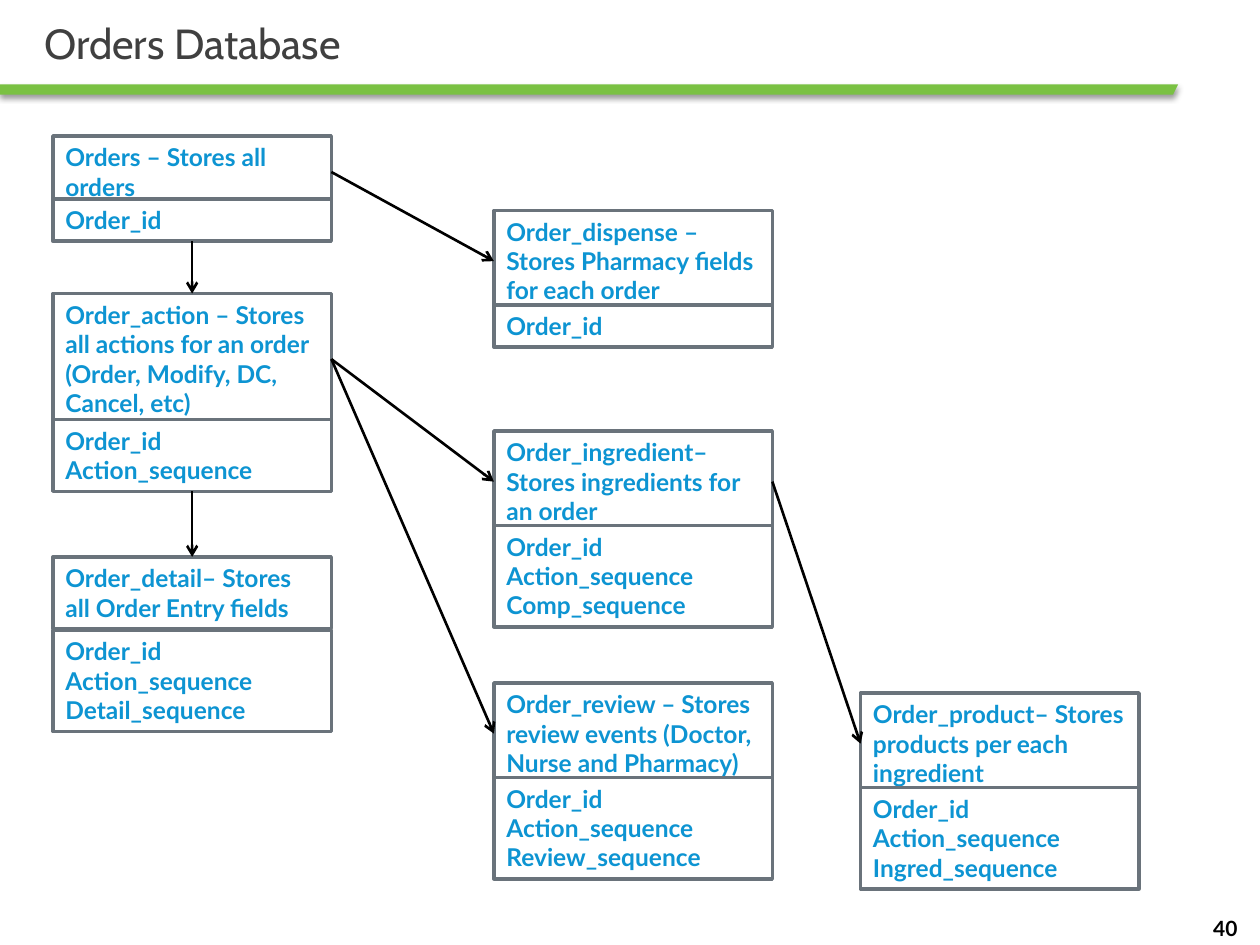
from lxml.etree import SubElement
from pptx import Presentation
from pptx.dml.color import RGBColor
from pptx.enum.shapes import MSO_CONNECTOR, MSO_SHAPE
from pptx.enum.text import MSO_ANCHOR, MSO_AUTO_SIZE, PP_ALIGN
from pptx.oxml.ns import qn
from pptx.util import Inches, Pt

# Content: name, left, header top, key top, description, header lines, keys
TABLES = [
    ("orders", 0.42, 1.08, 1.58, "Orders – Stores all orders", 2, ["Order_id"]),
    ("action", 0.42, 2.33, 3.33,
     "Order_action – Stores all actions for an order (Order, Modify, DC, Cancel, etc)", 4,
     ["Order_id", "Action_sequence"]),
    ("ingredient", 3.92, 3.42, 4.17, "Order_ingredient– Stores ingredients for an order", 3,
     ["Order_id", "Action_sequence", "Comp_sequence"]),
    ("detail", 0.42, 4.42, 5, "Order_detail– Stores all Order Entry fields", 2,
     ["Order_id", "Action_sequence", "Detail_sequence"]),
    ("product", 6.83, 5.5, 6.25, "Order_product– Stores products per each ingredient", 3,
     ["Order_id", "Action_sequence", "Ingred_sequence"]),
    ("dispense", 3.92, 1.67, 2.42, "Order_dispense – Stores Pharmacy fields for each order", 3,
     ["Order_id"]),
    ("review", 3.92, 5.42, 6.17,
     "Order_review – Stores review events (Doctor, Nurse and Pharmacy)", 3,
     ["Order_id", "Action_sequence", "Review_sequence"]),
]
# Relations: (table, part, side) to (table, part, side)
TOP, LEFT, BOTTOM, RIGHT = range(4)
RELATIONS = [
    (("orders", "keys", BOTTOM), ("action", "header", TOP)),
    (("action", "keys", BOTTOM), ("detail", "header", TOP)),
    (("orders", "header", RIGHT), ("dispense", "header", LEFT)),
    (("action", "header", RIGHT), ("ingredient", "header", LEFT)),
    (("action", "header", RIGHT), ("review", "header", LEFT)),
    (("ingredient", "header", RIGHT), ("product", "header", LEFT)),
]
COLORS = {"bar": "7AC143", "title": "404040", "text": "0D94D2", "border": "6A737B",
          "black": "000000", "white": "FFFFFF"}
BOX_WIDTH, LINE_HEIGHT, BOX_PADDING = 2.21, 0.235, 0.1


def color(name):
    return RGBColor.from_string(COLORS[name])


def add_run(paragraph, text, size, font, color_name, bold=False):
    run = paragraph.add_run()
    run.text = text
    run.font.size = Pt(size)
    run.font.name = font
    run.font.bold = bold
    run.font.color.rgb = color(color_name)


def add_box(slide, left, top, lines, line_count):
    height = BOX_PADDING + LINE_HEIGHT * line_count
    shape = slide.shapes.add_shape(MSO_SHAPE.RECTANGLE, Inches(left), Inches(top),
                                   Inches(BOX_WIDTH), Inches(height))
    shape.shadow.inherit = False
    shape.fill.solid()
    shape.fill.fore_color.rgb = color("white")
    shape.line.color.rgb = color("border")
    shape.line.width = Pt(2)
    frame = shape.text_frame
    frame.word_wrap = True
    frame.auto_size = MSO_AUTO_SIZE.SHAPE_TO_FIT_TEXT
    frame.vertical_anchor = MSO_ANCHOR.TOP
    for index, line in enumerate(lines):
        paragraph = frame.add_paragraph() if index else frame.paragraphs[0]
        paragraph.alignment = PP_ALIGN.LEFT
        add_run(paragraph, line, 14, "Lato", "text", True)
    return shape


def add_arrow(slide, start, start_side, end, end_side):
    connector = slide.shapes.add_connector(MSO_CONNECTOR.STRAIGHT, 0, 0, 0, 0)
    connector.begin_connect(start, start_side)
    connector.end_connect(end, end_side)
    connector.line.color.rgb = color("black")
    connector.line.width = Pt(1.5)
    properties = connector.element.spPr
    SubElement(properties.find(qn("a:ln")), qn("a:tailEnd"), type="arrow")
    SubElement(properties, qn("a:effectLst"))


def add_title_bar(slide):
    builder = slide.shapes.build_freeform(0, Inches(0.67))
    builder.add_line_segments([(Inches(x), Inches(y)) for x, y in
                               [(9.35, 0.67), (9.31, 0.75), (0, 0.75)]], close=True)
    bar = builder.convert_to_shape()
    bar.fill.solid()
    bar.fill.fore_color.rgb = color("bar")
    bar.line.fill.background()
    bar.shadow.inherit = False
    effects = bar.element.spPr.find(qn("a:effectLst"))
    shadow = SubElement(effects, qn("a:outerShdw"), blurRad=str(Pt(3)), dist=str(Pt(2)),
                        dir="5400000", algn="t", rotWithShape="0")
    shade = SubElement(shadow, qn("a:srgbClr"), val=COLORS["black"])
    SubElement(shade, qn("a:alpha"), val="40000")


def main():
    presentation = Presentation()
    presentation.slide_width, presentation.slide_height = Inches(10), Inches(7.5)
    slide = presentation.slides.add_slide(presentation.slide_layouts[5])
    add_title_bar(slide)

    # Slide number
    number = slide.shapes.add_textbox(Inches(9.34), Inches(7.24), Inches(0.58), Inches(0.25))
    number.text_frame.word_wrap = True
    number.text_frame.vertical_anchor = MSO_ANCHOR.MIDDLE
    number.text_frame.paragraphs[0].alignment = PP_ALIGN.RIGHT
    add_run(number.text_frame.paragraphs[0], "40", 12, "Lato", "black", True)

    # Title
    title = slide.shapes.title
    title.left, title.top, title.width, title.height = map(Inches, (0.25, 0, 9.1, 0.67))
    title.text_frame.vertical_anchor = MSO_ANCHOR.MIDDLE
    title.text_frame.paragraphs[0].alignment = PP_ALIGN.LEFT
    add_run(title.text_frame.paragraphs[0], "Orders Database", 24, "Cabin", "title")

    # Database tables
    boxes = {}
    for name, left, header_top, key_top, description, line_count, keys in TABLES:
        boxes[name, "header"] = add_box(slide, left, header_top, [description], line_count)
        boxes[name, "keys"] = add_box(slide, left, key_top, keys, len(keys))

    # Relations
    for (start, start_part, start_side), (end, end_part, end_side) in RELATIONS:
        add_arrow(slide, boxes[start, start_part], start_side, boxes[end, end_part], end_side)

    presentation.save("out.pptx")


if __name__ == "__main__":
    main()
